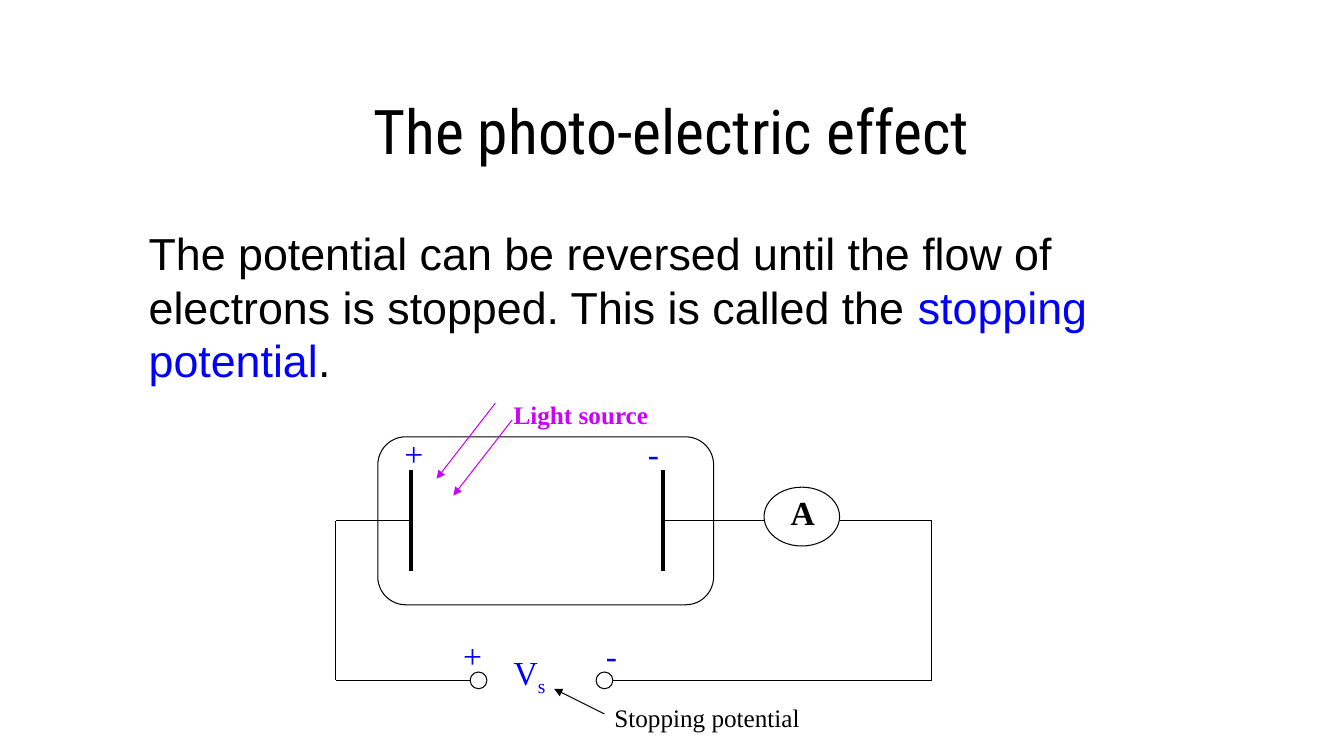
"""Builds a slide showing the circuit that measures the stopping potential."""
from dataclasses import dataclass
from itertools import pairwise

from lxml import etree
from pptx import Presentation
from pptx.dml.color import RGBColor
from pptx.enum.shapes import MSO_CONNECTOR, MSO_SHAPE
from pptx.enum.text import MSO_ANCHOR, PP_ALIGN
from pptx.oxml.ns import qn
from pptx.slide import Slide
from pptx.util import Pt

STRAIGHT = MSO_CONNECTOR.STRAIGHT
ELLIPSE = MSO_SHAPE.OVAL
ROUNDED = MSO_SHAPE.ROUNDED_RECTANGLE
TOP, MIDDLE = MSO_ANCHOR.TOP, MSO_ANCHOR.MIDDLE
LEFT, CENTER = PP_ALIGN.LEFT, PP_ALIGN.CENTER

COLORS = {"black": "000000", "blue": "0000FF", "violet": "CC00FF"}
SERIF = "Times New Roman"


@dataclass(frozen=True)
class Span:
    text: str
    color: str = "black"
    bold: bool = False
    subscript: bool = False


@dataclass(frozen=True)
class Label:
    left: float
    top: float
    width: float
    height: float
    spans: tuple[Span, ...]
    size: float = 24
    font: str = SERIF
    align: PP_ALIGN = LEFT
    anchor: MSO_ANCHOR = TOP
    indent: float = 0
    line_height: float | None = None


@dataclass(frozen=True)
class Outline:
    kind: MSO_SHAPE
    left: float
    top: float
    width: float
    height: float


@dataclass(frozen=True)
class Path:
    points: tuple[tuple[float, float], ...]
    color: str = "black"
    width: float = 0.75
    arrow: bool = False


TEXTS = (
    Label(72, 48, 816, 90, (Span("The photo-electric effect"),), 44,
          "Roboto Condensed", CENTER, MIDDLE),
    Label(72, 158, 816, 322, (
        Span("The potential can be reversed until the flow of electrons is "
             "stopped. This is called the "),
        Span("stopping potential", "blue"),
        Span("."),
    ), 32, "Arial", indent=27, line_height=38.25),
)

OUTLINES = (
    Outline(ROUNDED, 270, 312, 240, 120),
    Outline(ELLIPSE, 336, 480, 12, 12),
    Outline(ELLIPSE, 426, 480, 12, 12),
    Outline(ELLIPSE, 546, 348, 54, 42),
)

PATHS = (
    Path(((294, 336), (294, 408)), width=3),
    Path(((474, 336), (474, 408)), width=3),
    Path(((294, 372), (240, 372), (240, 486), (336, 486))),
    Path(((474, 372), (546, 372))),
    Path(((600, 372), (666, 372), (666, 486), (438, 486))),
    Path(((354, 288), (312, 342)), "violet", arrow=True),
    Path(((366, 300), (324, 354)), "violet", arrow=True),
    Path(((432, 510), (396, 492)), arrow=True),
)

LABELS = (
    Label(558, 348, 42, 36, (Span("A", bold=True),)),
    Label(324, 450, 30, 36, (Span("+", "blue"),)),
    Label(426, 450, 36, 36, (Span("-", "blue"),)),
    Label(456, 306, 36, 36, (Span("-", "blue"),)),
    Label(282, 306, 30, 36, (Span("+", "blue"),)),
    Label(360, 282, 138, 29, (Span("Light source", "violet", True),), 18),
    Label(360, 462, 48, 40,
          (Span("V", "blue"), Span("s", "blue", subscript=True))),
    Label(432, 498, 240, 29, (Span("Stopping potential"),), 18),
)


def rgb(color: str) -> RGBColor:
    return RGBColor.from_string(COLORS[color])


def draw_label(page: Slide, label: Label) -> None:
    box = page.shapes.add_textbox(
        Pt(label.left), Pt(label.top), Pt(label.width), Pt(label.height))
    frame = box.text_frame
    frame.word_wrap = True
    frame.vertical_anchor = label.anchor
    frame.margin_left = Pt(7.2 + label.indent)
    para = frame.paragraphs[0]
    para.alignment = label.align
    if label.line_height:
        para.line_spacing = Pt(label.line_height)
    for span in label.spans:
        run = para.add_run()
        run.text = span.text
        run.font.name = label.font
        run.font.size = Pt(label.size)
        run.font.bold = span.bold
        run.font.color.rgb = rgb(span.color)
        if span.subscript:
            run.font._element.set("baseline", "-25000")


def draw_outline(page: Slide, outline: Outline) -> None:
    shape = page.shapes.add_shape(
        outline.kind, Pt(outline.left), Pt(outline.top),
        Pt(outline.width), Pt(outline.height))
    shape.shadow.inherit = False
    shape.fill.background()
    shape.line.color.rgb = rgb("black")
    shape.line.width = Pt(0.75)


def draw_path(page: Slide, path: Path) -> None:
    for start, end in pairwise(path.points):
        line = page.shapes.add_connector(
            STRAIGHT, *(Pt(value) for value in start + end))
        line.line.color.rgb = rgb(path.color)
        line.line.width = Pt(path.width)
        if path.arrow:
            etree.SubElement(
                line.line._get_or_add_ln(), qn("a:tailEnd"), type="triangle")
        etree.SubElement(line._element.spPr, qn("a:effectLst"))


def main() -> None:
    deck = Presentation()
    deck.slide_width, deck.slide_height = Pt(960.48), Pt(540)
    page = deck.slides.add_slide(deck.slide_layouts[6])
    for label in TEXTS:
        draw_label(page, label)
    for outline in OUTLINES:
        draw_outline(page, outline)
    for path in PATHS:
        draw_path(page, path)
    for label in LABELS:
        draw_label(page, label)
    deck.save("out.pptx")


if __name__ == "__main__":
    main()
